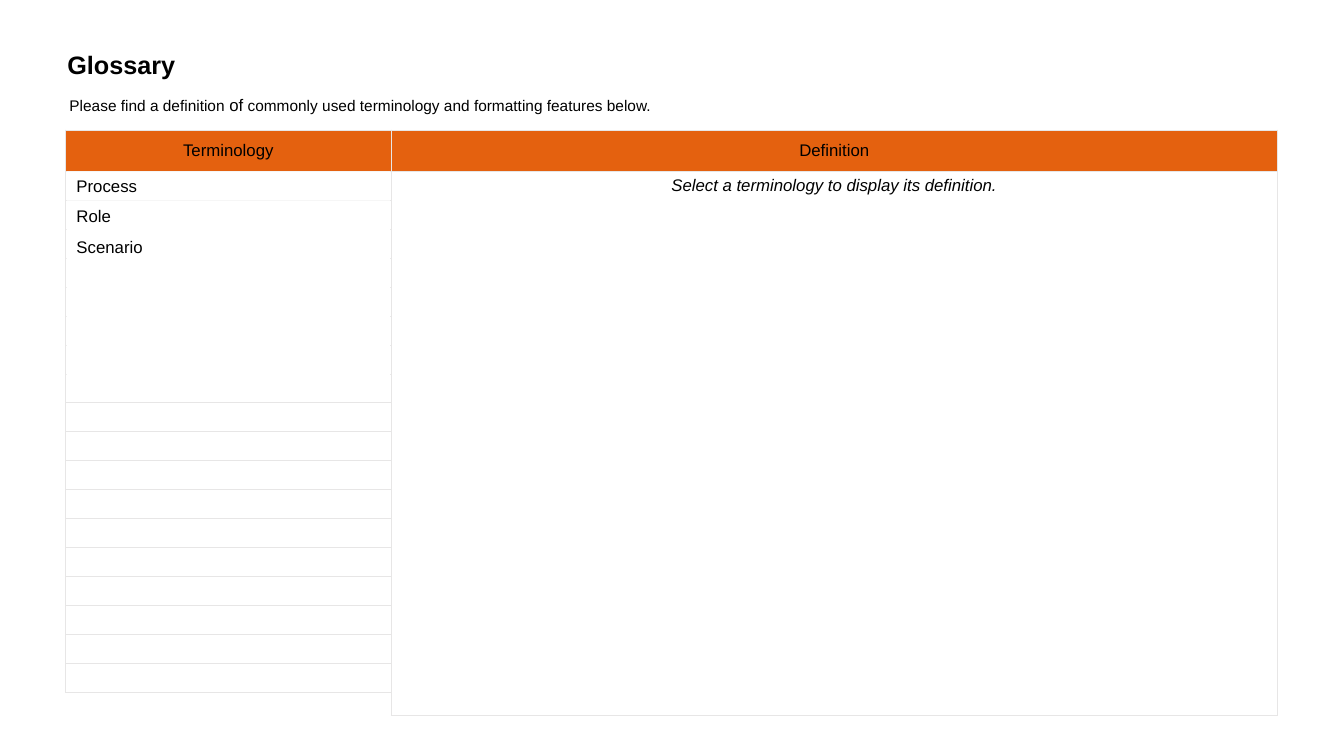
import pptx
import pptx.util
import pptx.dml.color
import pptx.enum.shapes
import pptx.enum.text
from lxml import etree
from pptx.oxml.ns import qn

# Content
TITLE = [("Glossary", {"size": 18, "bold": True})]
INTRO = [("Please find a definition ", {"size": 11}),
         ("of", {"size": 12}),
         (" commonly used terminology and formatting features below.", {"size": 11})]
HEADERS = ["Terminology", "Definition"]
TERMS = ["Process", "Role", "Scenario", "", "", "", ""]
HINT = "Select a terminology to display its definition."
COLORS = {"text": "000000", "header": "E4610F", "border": "E7E6E6", "tile": "FFFFFF"}
FONT = "Arial"

# Grid, in inches
LEFT, TOP, HEADER_H = 0.65, 1.29, 0.41
TERM_W, DEFINITION_W = 3.23, 8.79
TERM_ROWS, TERM_BODY_H, DEFINITION_H = 18, 5.17, 5.4
TILE_W, TILE_H, TILE_STEP = 3.21, 0.29, 0.3

Inches, Pt = pptx.util.Inches, pptx.util.Pt
ALIGN, ANCHOR = pptx.enum.text.PP_ALIGN, pptx.enum.text.MSO_ANCHOR


def rgb(name):
    return pptx.dml.color.RGBColor.from_string(COLORS[name])


def write(tf, runs, align=ALIGN.LEFT):
    p = tf.paragraphs[0]
    p.alignment = align
    for text, style in runs:
        r = p.add_run()
        r.text = text
        for key, value in {"name": FONT, "size": 12, **style}.items():
            setattr(r.font, key, Pt(value) if key == "size" else value)
        r.font.color.rgb = rgb("text")


def add_borders(cell):
    tc_pr = cell._tc.get_or_add_tcPr()
    for i, side in enumerate(("lnL", "lnR", "lnT", "lnB")):
        ln = etree.Element(qn("a:" + side), w=str(Pt(0.5)))
        fill = etree.SubElement(ln, qn("a:solidFill"))
        etree.SubElement(fill, qn("a:srgbClr"), val=COLORS["border"])
        tc_pr.insert(i, ln)


def add_column(slide, left, width, header, body_heights, body_text=""):
    heights = [HEADER_H] + body_heights
    frame = slide.shapes.add_table(len(heights), 1, Inches(left), Inches(TOP),
                                   Inches(width), Inches(sum(heights)))
    table = frame.table
    table.first_row = table.horz_banding = False
    for i, height in enumerate(heights):
        table.rows[i].height = Inches(height)
        cell = table.cell(i, 0)
        if i == 0:
            cell.fill.solid()
            cell.fill.fore_color.rgb = rgb("header")
            cell.vertical_anchor = ANCHOR.MIDDLE
            write(cell.text_frame, [(header, {})], ALIGN.CENTER)
        else:
            cell.fill.background()
            if body_text:
                write(cell.text_frame, [(body_text, {"italic": True})], ALIGN.CENTER)
            else:
                # Small empty text keeps the row at its set height
                p = cell.text_frame.paragraphs[0]
                etree.SubElement(p._p, qn("a:endParaRPr"), sz="1000")
        add_borders(cell)


def add_tile(slide, index, term):
    sp = slide.shapes.add_shape(
        pptx.enum.shapes.MSO_SHAPE.RECTANGLE, Inches(LEFT + 0.01),
        Inches(TOP + HEADER_H + index * TILE_STEP), Inches(TILE_W), Inches(TILE_H))
    sp.shadow.inherit = False
    sp.fill.solid()
    sp.fill.fore_color.rgb = rgb("tile")
    sp.line.fill.background()
    if term:
        sp.text_frame.vertical_anchor = ANCHOR.MIDDLE
        write(sp.text_frame, [(term, {})])


def add_text(slide, box, runs, wrap):
    tf = slide.shapes.add_textbox(*map(Inches, box)).text_frame
    tf.word_wrap = wrap
    tf.auto_size = pptx.enum.text.MSO_AUTO_SIZE.SHAPE_TO_FIT_TEXT
    write(tf, runs)


def main():
    prs = pptx.Presentation()
    prs.slide_width, prs.slide_height = Inches(13.33), Inches(7.5)
    slide = prs.slides.add_slide(prs.slide_layouts[6])

    # Term and definition tables
    add_column(slide, LEFT, TERM_W, HEADERS[0], [TERM_BODY_H / TERM_ROWS] * TERM_ROWS)
    add_column(slide, LEFT + TERM_W, DEFINITION_W, HEADERS[1], [DEFINITION_H], HINT)

    # Term tiles over the left table
    for i, term in enumerate(TERMS):
        add_tile(slide, i, term)

    # Title and introduction
    add_text(slide, (0.57, 0.44, 1.28, 0.4), TITLE, False)
    add_text(slide, (0.59, 0.89, 6.61, 0.49), INTRO, True)

    prs.save("out.pptx")


if __name__ == "__main__":
    main()
